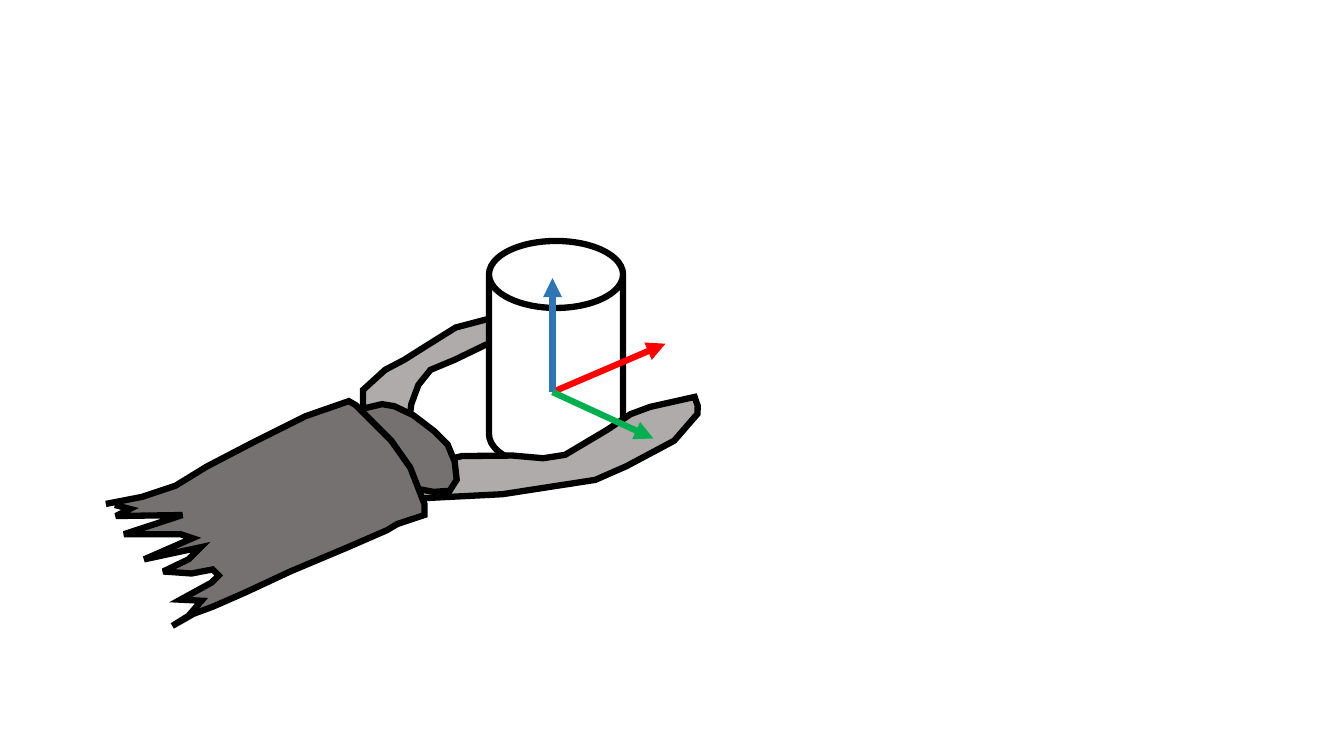
"""Draw a gripper holding a cylinder with its coordinate frame."""
from pptx import Presentation
from pptx import util as u
from pptx.dml.color import RGBColor
from pptx.enum import shapes
from pptx.oxml.ns import qn
from lxml import etree

BLACK = RGBColor(0x00, 0x00, 0x00)
WHITE = RGBColor(0xFF, 0xFF, 0xFF)
LIGHT = RGBColor(0xAF, 0xAB, 0xAB)
DARK = RGBColor(0x76, 0x71, 0x71)
RED = RGBColor(0xFF, 0x00, 0x00)
BLUE = RGBColor(0x2E, 0x75, 0xB6)
GREEN = RGBColor(0x00, 0xB0, 0x50)

CELL = u.Inches(0.01)
COLS, ROWS = 1333, 750
ORIGIN = (548, 389)
AXES = [((660, 341), RED), ((548, 276), BLUE), ((648, 435), GREEN)]

BACK_FINGER = [
    (386, 439), (360, 410), (360, 387), (382, 367), (401, 357), (420, 345),
    (452, 325), (486, 316), (572, 311), (573, 326), (534, 341), (482, 342),
    (451, 357), (427, 367), (415, 382), (408, 401), (404, 433), (390, 445),
]
FRONT_FINGER = [
    (410, 479), (494, 484), (587, 480), (619, 470), (669, 450), (695, 426),
    (696, 418), (694, 409), (649, 414), (629, 419), (604, 432), (560, 452),
    (538, 453), (508, 447), (458, 442), (428, 446), (419, 454),
]
WRIST = [
    (431, 428), (410, 412), (391, 403), (379, 401), (362, 405), (356, 412),
    (357, 439), (368, 461), (403, 483), (430, 488), (446, 487), (453, 476),
    (451, 458), (444, 441),
]
FOREARM = [
    (105, 500), (141, 493), (174, 482), (205, 463), (251, 439), (303, 413),
    (346, 398), (353, 402), (388, 437), (407, 464), (421, 500), (421, 511),
    (394, 520), (384, 526), (345, 543), (288, 567), (243, 588), (211, 602),
    (192, 609), (171, 621), (187, 611), (200, 596), (179, 595), (210, 578),
    (217, 571), (211, 565), (190, 569), (162, 567), (187, 555), (199, 543),
    (143, 555), (191, 534), (179, 530), (123, 530), (181, 511), (115, 512),
    (129, 505), (114, 501),
]


class Sketch:
    """Hold the outline style and the slide being drawn."""

    line_format = {"width": u.Pt(4.5)}

    def __init__(self, s):
        """Keep the slide to draw on."""
        self.s = s

    def stroke(self, line, color):
        """Apply the common line format in one colour."""
        for name, value in self.line_format.items():
            setattr(line, name, value)
        line.color.rgb = color
        ln = line._get_or_add_ln()
        etree.SubElement(ln, qn("a:miter"), lim="800000")
        return ln

    def paint(self, sp, fill):
        """Fill a shape and outline it in black without a shadow."""
        sp.shadow.inherit = False
        sp.fill.solid()
        sp.fill.fore_color.rgb = fill
        self.stroke(sp.line, BLACK)

    def outline(self, points, fill, close=False, rotation=0):
        """Draw a freeform through grid points."""
        builder = self.s.shapes.build_freeform(*points[0], scale=CELL)
        builder.add_line_segments(points[1:], close=close)
        sp = builder.convert_to_shape()
        sp.rotation = rotation
        self.paint(sp, fill)

    def can(self, col, row, cols, rows, fill):
        """Draw a cylinder on the grid."""
        box = [n * CELL for n in (col, row, cols, rows)]
        sp = self.s.shapes.add_shape(shapes.MSO_SHAPE.CAN, *box)
        sp.adjustments[0] = 0.5
        self.paint(sp, fill)

    def frame(self, origin, axes):
        """Draw a group of coloured arrows from one origin."""
        group = self.s.shapes.add_group_shape()
        for tip, color in axes:
            ends = [n * CELL for n in origin + tip]
            arrow = group.shapes.add_connector(shapes.MSO_CONNECTOR.STRAIGHT, *ends)
            ln = self.stroke(arrow.line, color)
            etree.SubElement(ln, qn("a:tailEnd"), type="triangle")
            etree.SubElement(arrow._element.spPr, qn("a:effectLst"))


prs = Presentation()
prs.slide_width, prs.slide_height = COLS * CELL, ROWS * CELL
sketch = Sketch(prs.slides.add_slide(prs.slide_layouts[6]))
sketch.outline(BACK_FINGER, LIGHT)
sketch.can(485, 239, 133, 225, WHITE)
sketch.outline(FRONT_FINGER, LIGHT, close=True, rotation=353.7)
sketch.outline(WRIST, DARK, close=True)
sketch.outline(FOREARM, DARK)
sketch.frame(ORIGIN, AXES)
prs.save("out.pptx")
